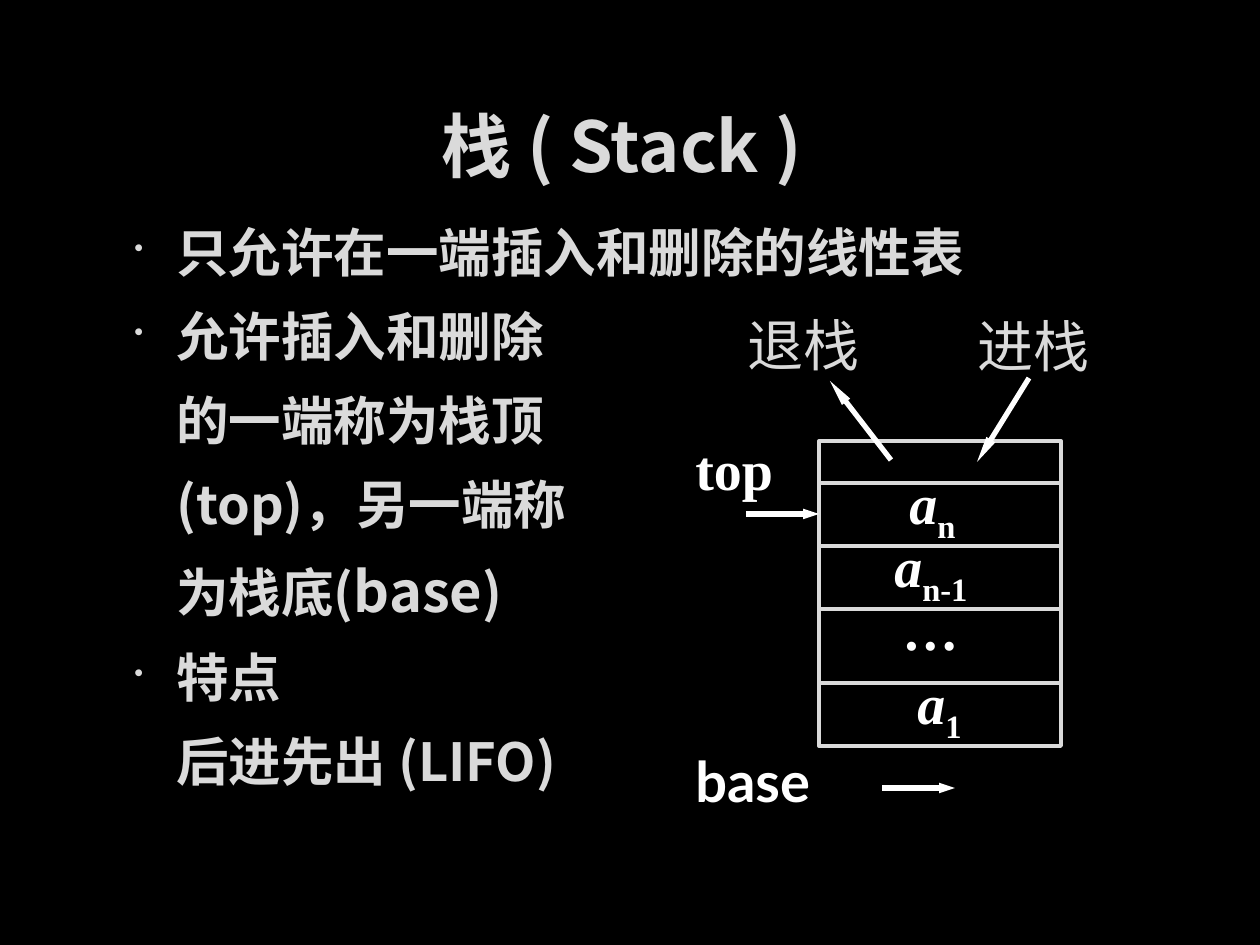
import pptx
import pptx.util
import pptx.dml.color
import pptx.enum.dml
import pptx.enum.shapes
import pptx.enum.text
import pptx.oxml.ns
from lxml import etree

PX = 914400 / 126
GREY, WHITE = "DADADA", "FFFFFF"
SANS, SERIF, LATO = "Noto Sans CJK SC", "Times New Roman", "Lato"

TITLE = "栈 ( Stack )"
BODY = [
    (True, [("只允许在一端插入和删除的线性表", 30)]),
    (True, [("允许插入和删除", 30)]),
    (False, [("的一端称为栈顶", 30)]),
    (False, [("(top)，另一端称", 30)]),
    (False, [("为栈底(", 30), ("base", 32), (")", 30)]),
    (True, [("特点", 30)]),
    (False, [("后进先出 (LIFO)", 30)]),
]
LABELS = [
    ("退栈", (735, 304, 137, 79), SERIF, GREY, False),
    ("进栈", (965, 305, 137, 79), SERIF, GREY, False),
    ("top", (683, 428, 103, 79), SERIF, WHITE, True),
    ("base", (683, 740, 154, 81), LATO, WHITE, True),
]
CELLS = [
    ("a", "n", (897, 462, 74, 81)),
    ("a", "n-1", (882, 525, 106, 81)),
    ("…", "", (892, 588, 82, 79)),
    ("a", "1", (905, 662, 73, 81)),
]
STACK = (819, 441, 242, 305)
DIVIDERS = [483, 546, 609, 683]
ARROWS = [
    ((746, 514), (819, 514), "med"),
    ((882, 788), (955, 788), "med"),
    ((1029, 378), (977, 462), "lg"),
    ((891, 460), (830, 381), "lg"),
]


def px(*values):
    return [round(v * PX) for v in values]


def rgb(color):
    return pptx.dml.color.RGBColor.from_string(color)


def child(parent, tag, **attrs):
    return etree.SubElement(parent, pptx.oxml.ns.qn(tag), attrs)


def set_font(font, name, size, color, bold):
    font.name, font.size, font.bold = name, pptx.util.Pt(size), bold
    font.color.rgb = rgb(color)


def add_run(p, text, name, size, color, bold):
    r = p.add_run()
    r.text = text
    set_font(r.font, name, size, color, bold)
    r.font._element.find(pptx.oxml.ns.qn("a:latin")).addnext(
        etree.Element(pptx.oxml.ns.qn("a:ea"), typeface=SANS))
    return r


def add_box(s, box, wrap=False):
    tf = s.shapes.add_textbox(*px(*box)).text_frame
    tf.word_wrap = wrap
    return tf


def add_line(s, start, end, color, width, head=None):
    line = s.shapes.add_connector(
        pptx.enum.shapes.MSO_CONNECTOR.STRAIGHT, *px(*start, *end))
    line.line.color.rgb = rgb(color)
    line.line.width = pptx.util.Pt(width)
    if head:
        child(line.line._get_or_add_ln(), "a:tailEnd",
              type="triangle", w="sm", len=head)
    child(line._element.spPr, "a:effectLst")


def add_title(s):
    tf = add_box(s, (406, 82, 431, 126), True)
    tf.vertical_anchor = pptx.enum.text.MSO_ANCHOR.MIDDLE
    p = tf.paragraphs[0]
    p.alignment = pptx.enum.text.PP_ALIGN.CENTER
    add_run(p, TITLE, SANS, 40, GREY, True)


def add_body(s):
    tf = add_box(s, (116, 214, 1103, 630), True)
    for i, (bullet, runs) in enumerate(BODY):
        p = tf.add_paragraph() if i else tf.paragraphs[0]
        p.space_before = p.space_after = pptx.util.Pt(6)
        for text, size in runs:
            add_run(p, text, SANS, size, GREY, True)
        pPr = p._p.get_or_add_pPr()
        margin, indent = px(48, -42)
        pPr.set("marL", str(margin))
        if bullet:
            pPr.set("indent", str(indent))
            child(pPr, "a:buSzPct", val="50000")
            child(pPr, "a:buChar", char="•")


def add_stack(s):
    left, top, width, height = STACK
    frame = s.shapes.add_shape(
        pptx.enum.shapes.MSO_SHAPE.RECTANGLE, *px(*STACK))
    frame.shadow.inherit = False
    frame.fill.background()
    frame.line.color.rgb = rgb(GREY)
    frame.line.width = pptx.util.Pt(2.25)
    for y in DIVIDERS:
        add_line(s, (left, y), (left + width, y), GREY, 2.25)
    for text, index, box in CELLS:
        p = add_box(s, box).paragraphs[0]
        add_run(p, text, SERIF, 32, WHITE, True).font.italic = True
        if index:
            r = add_run(p, index, SERIF, 32, WHITE, True)
            r.font._element.set("baseline", "-25000")


def main():
    prs = pptx.Presentation()
    prs.slide_width, prs.slide_height = px(1260, 945)
    s = prs.slides.add_slide(prs.slide_layouts[6])
    s.background.fill.solid()
    s.background.fill.fore_color.rgb = rgb("000000")
    add_title(s)
    add_body(s)
    add_stack(s)
    for text, box, font, color, bold in LABELS:
        add_run(add_box(s, box).paragraphs[0], text, font, 32, color, bold)
    for start, end, head in ARROWS:
        add_line(s, start, end, WHITE, 3, head)
    prs.save("out.pptx")


if __name__ == "__main__":
    main()
